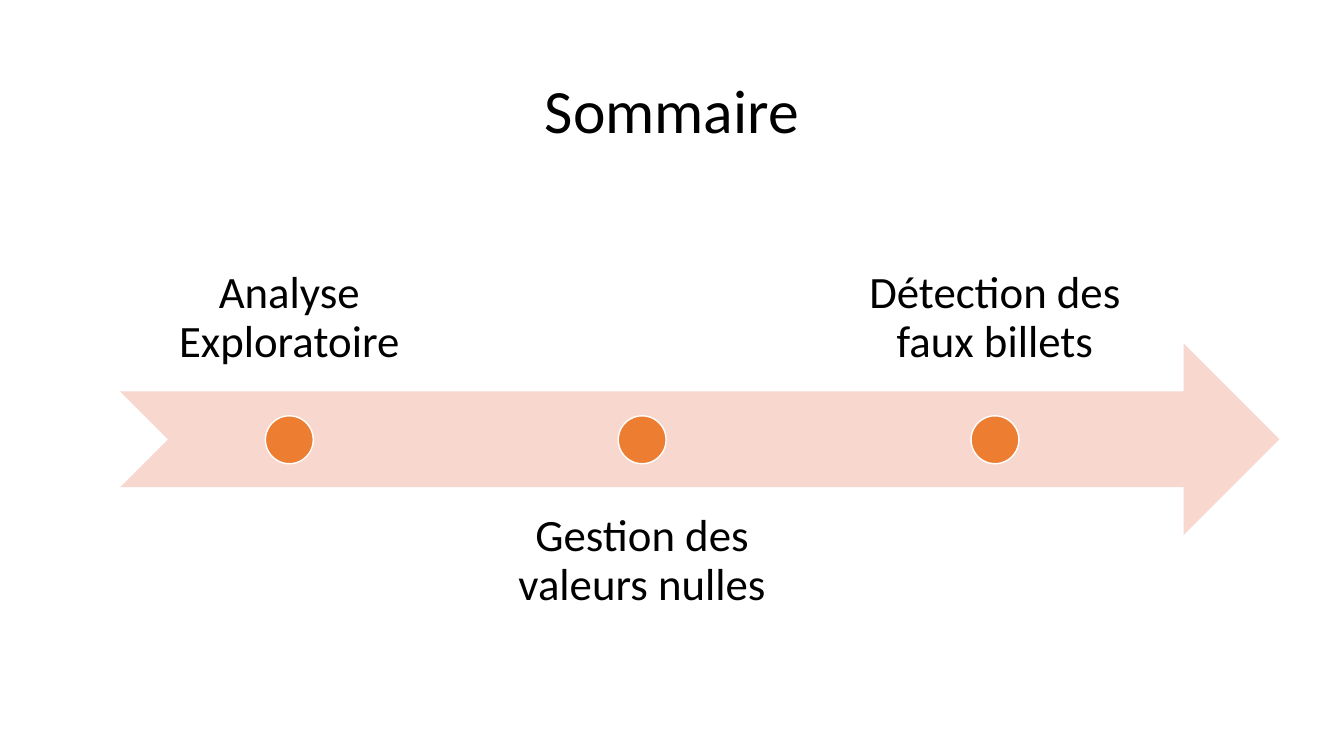
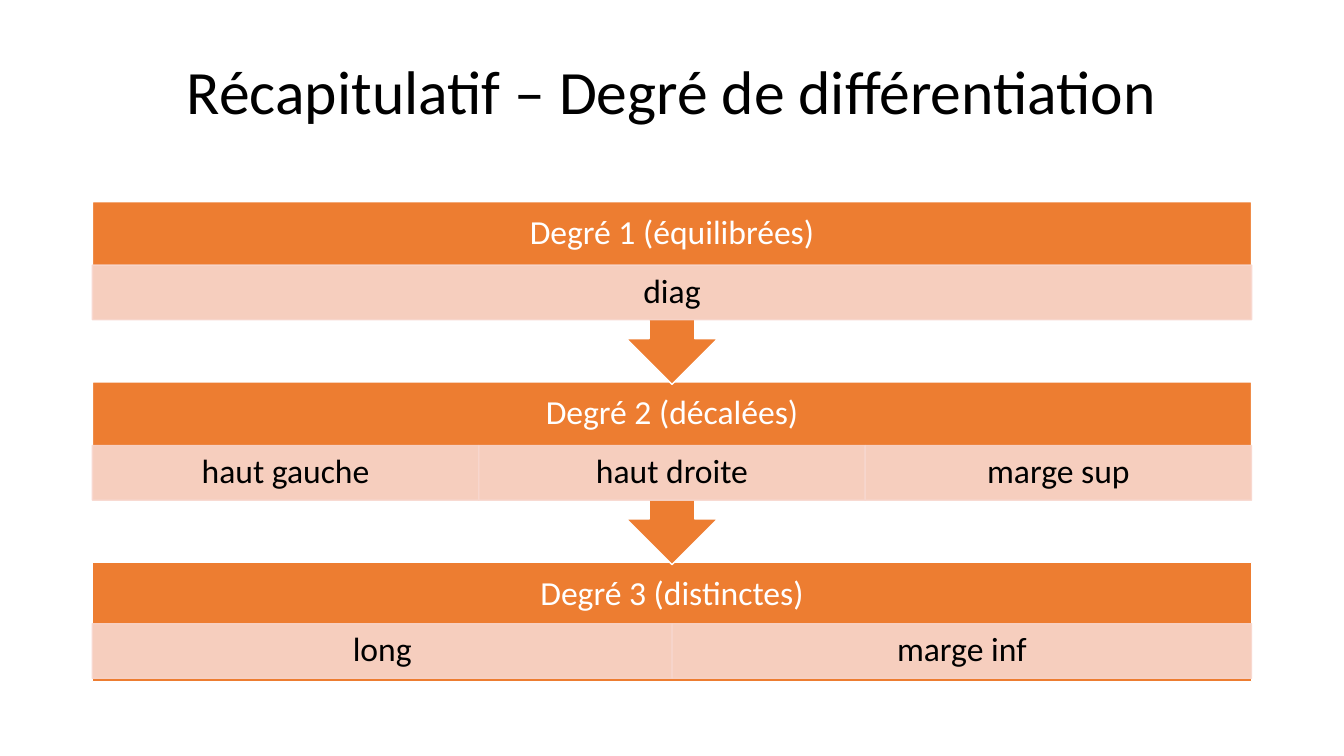
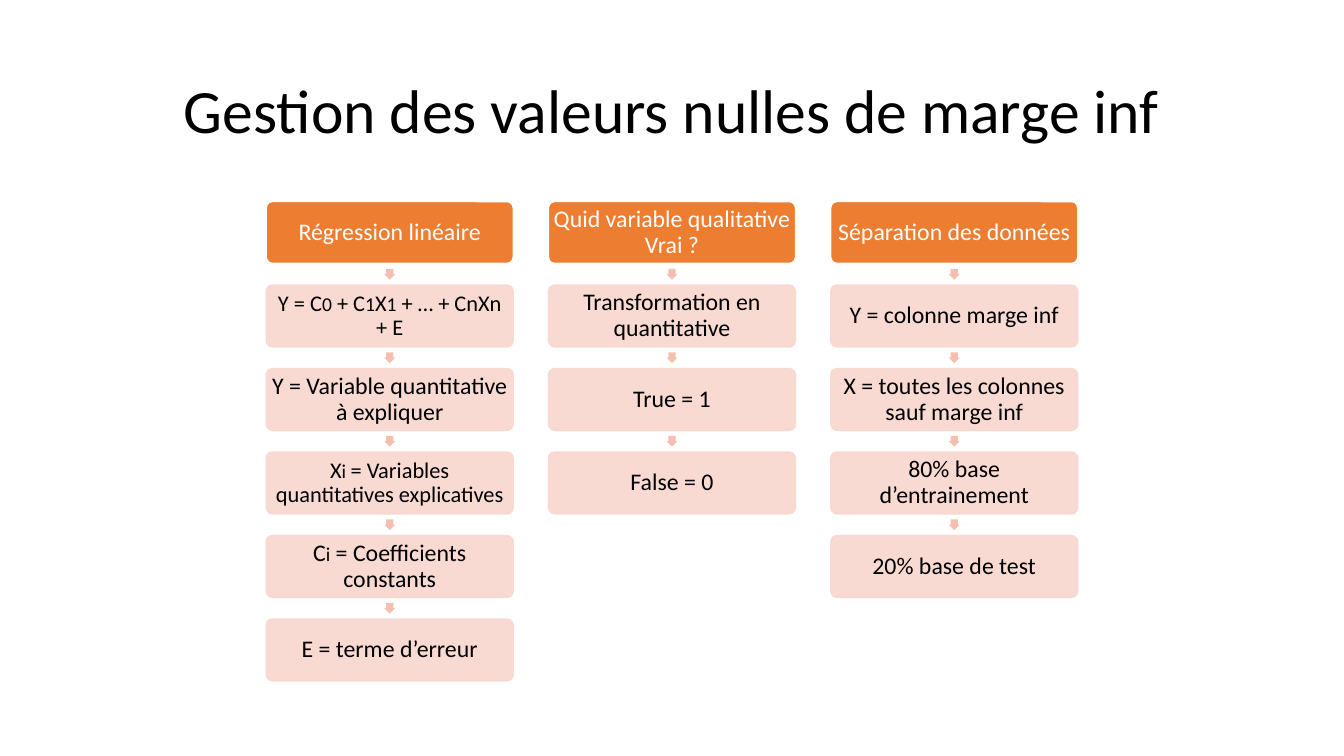
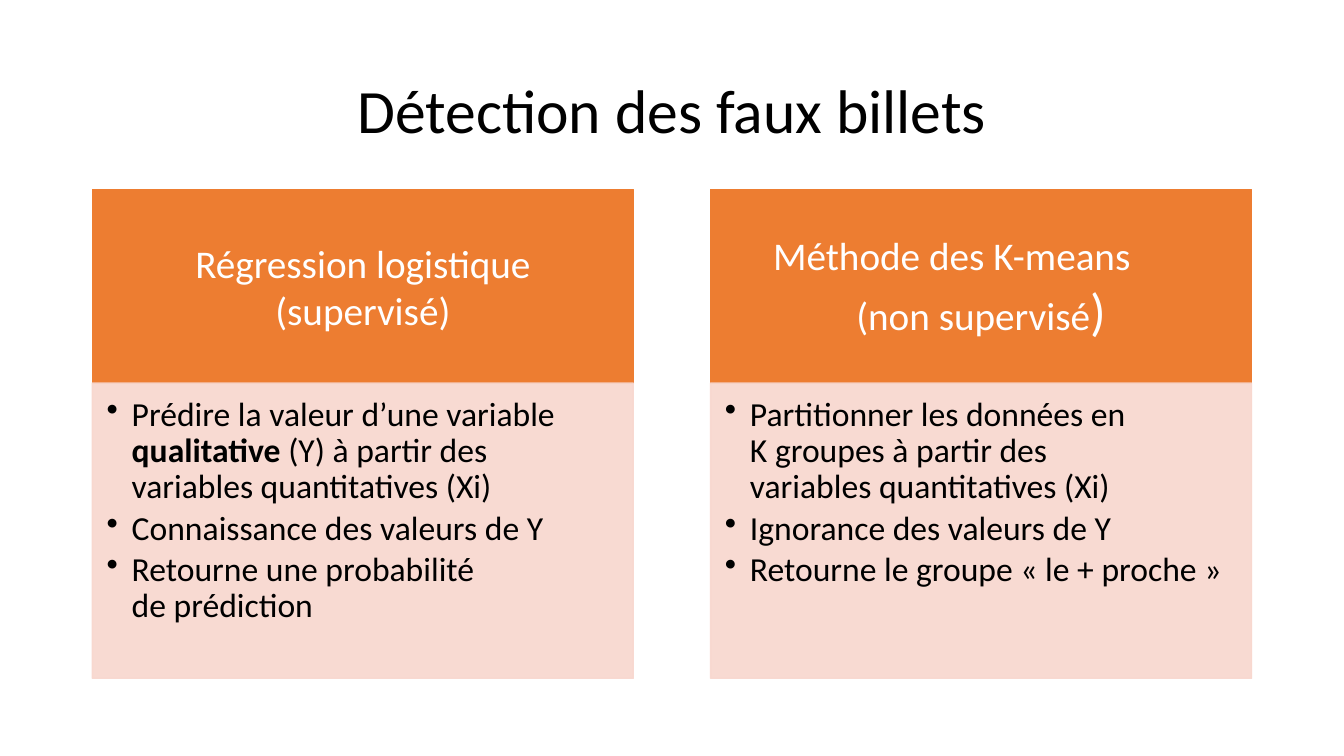
from lxml.etree import SubElement
from pptx import Presentation
from pptx.dml.color import RGBColor as Rgb
from pptx.enum.shapes import MSO_SHAPE as Kind
from pptx.enum.text import MSO_ANCHOR as Anchor, MSO_AUTO_SIZE as Fit, PP_ALIGN as Align
from pptx.oxml.ns import qn
from pptx.util import Emu, Inches, Pt

COLORS = {
    "ink": "000000",
    "white": "FFFFFF",
    "main": "ED7D31",
    "pale": "F8D7CE",
    "arrow": "F4BFAE",
}
FONT = "Calibri"
COLS, ROWS = 160, 90
LEFT, WIDTH = 11, 138


def tint(fmt, name, alpha=100):
    """Make a fill solid in a named colour; alpha is its opacity in percent."""
    fmt.solid()
    fmt.fore_color.rgb = Rgb.from_string(COLORS[name])
    if alpha < 100:
        node = next(fmt._xPr.iter(qn("a:srgbClr")))
        SubElement(node, qn("a:alpha"), val=str(alpha * 1000))


def write(frame, runs, size=24, color="ink", align=Align.CENTER, lines=0.9,
          after=0, indent=0, bullet=None):
    """Add a paragraph; runs is a text or a list of texts and (text, format) pairs."""
    para = frame.add_paragraph() if frame.text else frame.paragraphs[0]
    para.alignment, para.line_spacing, para.space_after = align, lines, Pt(after)
    props = para._p.get_or_add_pPr()
    if indent:
        props.set("marL", str(Inches(indent)))
    if bullet:
        props.set("indent", str(-Inches(indent)))
        SubElement(props, qn("a:buChar"), char=bullet)
    for item in [runs] if isinstance(runs, str) else runs:
        text, own = (item, {}) if isinstance(item, str) else item
        for i, part in enumerate(text.split("\n")):
            if i:
                para.add_line_break()
            run = para.add_run()
            run.text = part
            font = run.font
            font.name, font.size = FONT, Pt(own.get("size", size))
            font.bold = own.get("bold", False)
            font.color.rgb = Rgb.from_string(COLORS[color])


class Deck:
    """Holds the style and the current slide; lengths are grid columns and rows."""

    def __init__(self):
        self.prs = Presentation()
        self.prs.slide_width, self.prs.slide_height = Inches(13.33), Inches(7.5)
        self.slide = None

    def place(self, x, y, w, h):
        col, row = self.prs.slide_width / COLS, self.prs.slide_height / ROWS
        return [Emu(round(v)) for v in (x * col, y * row, w * col, h * row)]

    def frame(self, shape, pad, anchor):
        """Prepare a text frame; pad is left, top, right, bottom in inches."""
        frame = shape.text_frame
        frame.word_wrap, frame.auto_size = True, Fit.NONE
        frame.vertical_anchor = anchor
        (frame.margin_left, frame.margin_top,
         frame.margin_right, frame.margin_bottom) = map(Inches, pad)
        return frame

    def start(self, title, top=4.8):
        self.slide = self.prs.slides.add_slide(self.prs.slide_layouts[5])
        head = self.slide.shapes.title
        head.left, head.top, head.width, head.height = self.place(LEFT, top, WIDTH, 17.4)
        write(self.frame(head, (0.1, 0.05, 0.1, 0.05), Anchor.MIDDLE), title, size=44)

    def shape(self, kind, box, fill, line=None, alpha=100, adj=()):
        item = self.slide.shapes.add_shape(kind, *self.place(*box))
        item.shadow.inherit = False
        tint(item.fill, fill, alpha)
        if line:
            tint(item.line.fill, line, alpha)
            item.line.width = Pt(1)
        else:
            item.line.fill.background()
        for i, value in enumerate(adj):
            item.adjustments[i] = value
        return item

    def label(self, box, text, pad, anchor=Anchor.MIDDLE, **fmt):
        item = self.slide.shapes.add_textbox(*self.place(*box))
        write(self.frame(item, pad, anchor), text, **fmt)

    def panel(self, box, pad, strong=False, kind=Kind.RECTANGLE, line=None,
              anchor=Anchor.MIDDLE, adj=()):
        """Draw a strong or pale box and return its text frame."""
        name = "main" if strong else "pale"
        item = self.shape(kind, box, name, line or name, 100 if strong else 90, adj)
        return self.frame(item, pad, anchor)

    def save(self):
        self.prs.save("out.pptx")


def agenda(deck):
    deck.start("Sommaire")
    deck.shape(Kind.NOTCHED_RIGHT_ARROW, (14.3, 40.9, WIDTH, 22.8), "pale")
    wide, dot, step = 40.1, 5.7, 42
    steps = ["Analyse Exploratoire", "Gestion des valeurs nulles", "Détection des faux billets"]
    for i, text in enumerate(steps):
        x = 14.4 + i * step
        top, anchor = (58.1, Anchor.TOP) if i % 2 else (23.9, Anchor.BOTTOM)
        deck.label((x, top, wide, 22.8), text, [0.25] * 4, anchor, size=32)
        deck.shape(Kind.OVAL, (x + (wide - dot) / 2, 49.5, dot, dot), "main", "white")


def recap(deck):
    deck.start("Récapitulatif – Degré de différentiation", top=2.5)
    grades = [
        ("Degré 1 (équilibrées)", ["diag"]),
        ("Degré 2 (décalées)", ["haut gauche", "haut droite", "marge sup"]),
        ("Degré 3 (distinctes)", ["long", "marge inf"]),
    ]
    last = len(grades) - 1
    for i, (head, parts) in reversed(list(enumerate(grades))):
        y = 24 + i * 21.48
        if i == last:
            kind, tall, drop = Kind.RECTANGLE, 14.2, 7.3
        else:
            kind, tall, drop = Kind.UP_ARROW_CALLOUT, 21.75, 7.56
        block = deck.shape(kind, (LEFT, y, WIDTH, tall), "main", "white")
        block.rotation = 0 if i == last else 180
        deck.label((LEFT, y, WIDTH, 7.56), head, [0.19] * 4, color="white")
        wide = WIDTH / len(parts)
        for j, text in enumerate(parts):
            box = (LEFT + j * wide, y + drop, wide, 6.5)
            write(deck.panel(box, (0.19, 0.03, 0.19, 0.03)), text)


def nulls(deck):
    deck.start("Gestion des valeurs nulles de marge inf")
    small = {"size": 14}
    mid = {"size": 16}
    lists = [
        ["Régression linéaire",
         [("Y = C", mid), ("0", small), (" + C", mid), ("1", small), ("X", mid),
          ("1", small), (" + … + CnXn + E", mid)],
         "Y = Variable quantitative à expliquer",
         [("X", mid), ("i ", small), ("= Variables quantitatives explicatives", mid)],
         ["C", ("i", small), " = Coefficients constants"],
         "E = terme d’erreur"],
        ["Quid variable qualitative Vrai ?", "Transformation en quantitative",
         "True = 1", "False = 0"],
        ["Séparation des données", "Y = colonne marge inf",
         "X = toutes les colonnes sauf marge inf", "80% base d’entrainement",
         "20% base de test"],
    ]
    wide, tall, step = 29.4, 7.36, 9.94
    gap = step - tall
    tip = gap / 2
    for i, cards in enumerate(lists):
        mid_x = COLS / 2 + (i - 1) * 33.6
        for j, text in enumerate(cards):
            y, first = 24 + j * step, j == 0
            if not first:
                deck.shape(Kind.DOWN_ARROW, (mid_x - tip / 2, y - gap * 0.75, tip, tip),
                           "arrow", adj=(0.67, 0.5))
            frame = deck.panel((mid_x - wide / 2, y, wide, tall), [0.02] * 4, first,
                               Kind.ROUNDED_RECTANGLE, "white" if first else None, adj=(0.1,))
            write(frame, text, size=17, color="white" if first else "ink")


def detect(deck):
    deck.start("Détection des faux billets")
    methods = [
        ([("Régression logistique (supervisé)", {})],
         [["Prédire la valeur d’une variable ", ("qualitative ", {"bold": True}),
           "(Y) à partir des variables quantitatives (Xi)"],
          "Connaissance des valeurs de Y",
          "Retourne une probabilité\nde prédiction"]),
        ([("Méthode des K-means", {"align": Align.LEFT, "indent": 0.4}),
          (["(non supervisé", (")", {"size": 37})], {})],
         ["Partitionner les données en\nK groupes à partir des\nvariables quantitatives (Xi)",
          "Ignorance des valeurs de Y",
          "Retourne le groupe « le + proche »"]),
    ]
    wide, top, tall = 64.4, 22.56, 23.04
    for i, (heads, points) in enumerate(methods):
        x = LEFT + i * (WIDTH - wide)
        head = deck.panel((x, top, wide, tall), (0.22, 0.12, 0.22, 0.12), True)
        for text, fmt in heads:
            write(head, text, size=28, color="white", lines=1.0, **fmt)
        body = deck.panel((x, top + tall, wide, 35.16), (0.14, 0.14, 0.19, 0.21),
                          anchor=Anchor.TOP)
        for text in points:
            write(body, text, align=Align.LEFT, after=3.6, indent=0.25, bullet="•")


def main():
    deck = Deck()
    for build in (agenda, recap, nulls, detect):
        build(deck)
    deck.save()


if __name__ == "__main__":
    main()
